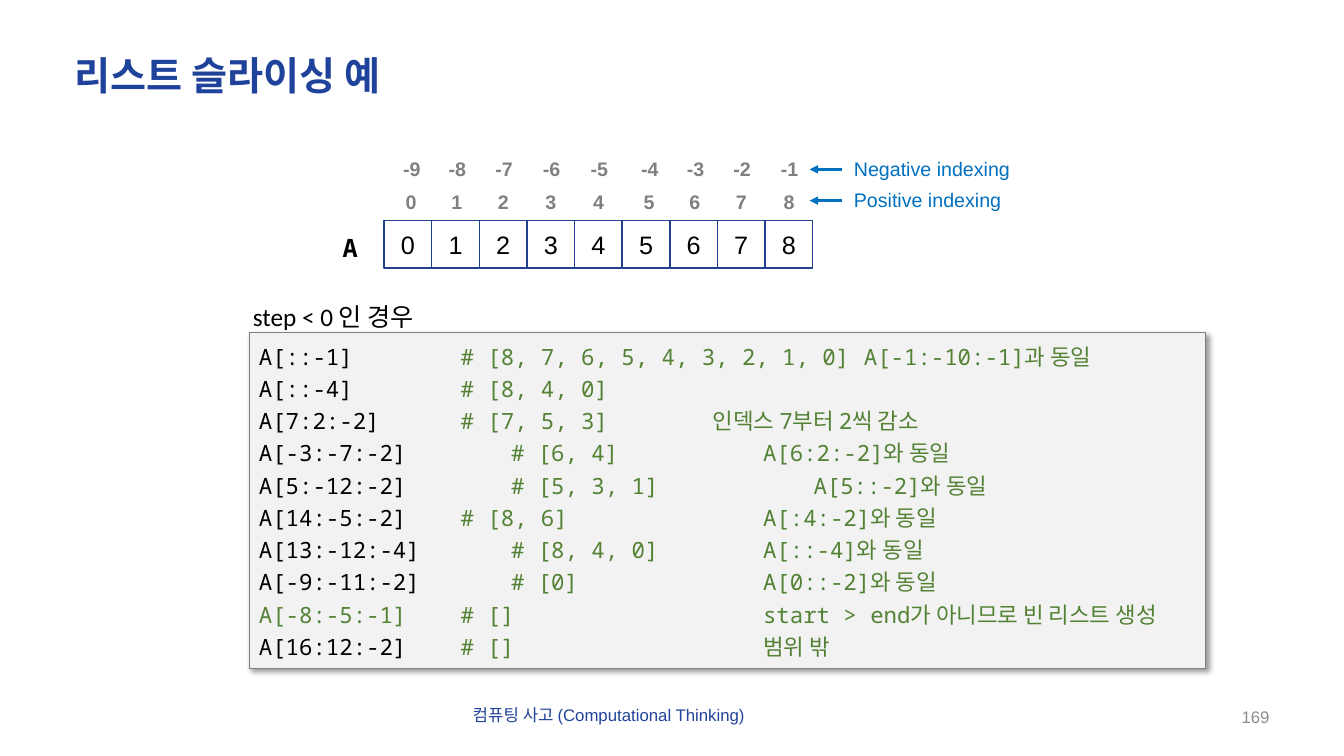
from lxml import etree
from pptx import Presentation
from pptx.dml.color import RGBColor
from pptx.enum.shapes import MSO_CONNECTOR, MSO_SHAPE
from pptx.enum.text import MSO_ANCHOR as Anchor, PP_ALIGN as Align
from pptx.oxml.ns import qn
from pptx.util import Inches, Pt

COLORS = {
    "title": "1F439B", "footer": "21439B", "number": "8C8C8C",
    "cell_line": "224090", "white": "FFFFFF", "black": "000000",
    "index": "808080", "arrow": "0070C0",
    "code_fill": "F2F2F2", "code_line": "808080", "comment": "548235",
}
SANS, MONO = "Arial", "Noto Sans Mono"

# code, comment column (inches), comment, note column (inches), note
EXAMPLES = [
    ("A[::-1]", 2, "# [8, 7, 6, 5, 4, 3, 2, 1, 0]", 6, "A[-1:-10:-1]과 동일"),
    ("A[::-4]", 2, "# [8, 4, 0]", None, ""),
    ("A[7:2:-2]", 2, "# [7, 5, 3]", 4.5, "인덱스 7부터 2씩 감소"),
    ("A[-3:-7:-2]", 2.5, "# [6, 4]", 5, "A[6:2:-2]와 동일"),
    ("A[5:-12:-2]", 2.5, "# [5, 3, 1]", 5.5, "A[5::-2]와 동일"),
    ("A[14:-5:-2]", 2, "# [8, 6]", 5, "A[:4:-2]와 동일"),
    ("A[13:-12:-4]", 2.5, "# [8, 4, 0]", 5, "A[::-4]와 동일"),
    ("A[-9:-11:-2]", 2.5, "# [0]", 5, "A[0::-2]와 동일"),
    ("A[-8:-5:-1]", 2, "# []", 5, "start > end가 아니므로 빈 리스트 생성"),
    ("A[16:12:-2]", 2, "# []", 5, "범위 밖"),
]
GREEN_CODE = "A[-8:-5:-1]"


def rgb(name):
    return RGBColor.from_string(COLORS[name])


def inches(box):
    return [Inches(length) for length in box]


def style(para, size, color, font=SANS, bold=False, align=Align.LEFT):
    para.alignment = align
    para.font.size, para.font.name, para.font.bold = Pt(size), font, bold
    para.font.color.rgb = rgb(color)


def add_label(page, box, text, size, color, wrap=False, anchor=Anchor.TOP, **look):
    frame = page.shapes.add_textbox(*inches(box)).text_frame
    frame.word_wrap, frame.vertical_anchor = wrap, anchor
    para = frame.paragraphs[0]
    para.text = text
    style(para, size, color, **look)
    return para


def add_rectangle(page, box, fill, line, width):
    shape = page.shapes.add_shape(MSO_SHAPE.RECTANGLE, *inches(box))
    shape.shadow.inherit = False
    shape.fill.solid()
    shape.fill.fore_color.rgb = rgb(fill)
    shape.line.color.rgb = rgb(line)
    shape.line.width = Pt(width)
    return shape


def add_title(page, box):
    title = page.shapes.title
    title.left, title.top, title.width, title.height = inches(box)
    frame = title.text_frame
    frame.text = "리스트 슬라이싱 예"
    frame.vertical_anchor = Anchor.MIDDLE
    para = frame.paragraphs[0]
    para.line_spacing = 0.9
    style(para, 28, "title", bold=True)


def add_list_cells(page, box, count):
    left, top, width, height = box
    pitch = width / count
    add_label(page, (left - 0.51, top + 0.07, 0.34, 0.4), "A", 18, "black",
              font=MONO, bold=True)
    for position in range(count):
        cell = add_rectangle(page, (left + position * pitch, top, pitch, height),
                             "white", "cell_line", 1)
        frame = cell.text_frame
        frame.vertical_anchor = Anchor.MIDDLE
        frame.text = str(position)
        style(frame.paragraphs[0], 18, "black", align=Align.CENTER)


def add_index_row(page, box, numbers):
    """Labels run in groups of five, each drawn slightly closer than the cells."""
    left, top, width, height = box
    nudges = (0, 0.02, 0.03, 0.03, 0.03)
    pitch = 4.25 / len(numbers)
    for position, number in enumerate(numbers):
        x = left + position * pitch - nudges[position % 5]
        para = add_label(page, (x, top, width, height), str(number), 14, "index",
                         bold=True, align=Align.RIGHT)
        para.line_spacing = Pt(18)


def add_index_caption(page, box, text):
    left, top, width, height = box
    add_label(page, box, text, 14, "arrow", wrap=True)
    middle = top + height / 2
    arrow = page.shapes.add_connector(
        MSO_CONNECTOR.STRAIGHT, *inches((left - 0.02, middle, left - 0.34, middle)))
    arrow.line.color.rgb = rgb("arrow")
    arrow.line.width = Pt(2)
    etree.SubElement(arrow.line._get_or_add_ln(), qn("a:tailEnd"), type="triangle")
    etree.SubElement(arrow._element.spPr, qn("a:effectLst"))


def add_drop_shadow(shape):
    effects = shape._element.spPr.find(qn("a:effectLst"))
    shadow = etree.SubElement(effects, qn("a:outerShdw"), blurRad=str(Pt(4)),
                              dist=str(Pt(3)), dir=str(45 * 60000), algn="tl",
                              rotWithShape="0")
    color = etree.SubElement(shadow, qn("a:srgbClr"), val=COLORS["black"])
    etree.SubElement(color, qn("a:alpha"), val="40000")


def add_tab_stops(para, columns):
    tabs = etree.SubElement(para._p.get_or_add_pPr(), qn("a:tabLst"))
    for column in columns:
        etree.SubElement(tabs, qn("a:tab"), pos=str(Inches(column)), algn="l")


def add_code_panel(page, box, examples):
    left, top, _, _ = box
    add_label(page, (left - 0.06, top - 0.36, 1.88, 0.4), "step < 0 인 경우",
              18, "black", font="Calibri")
    panel = add_rectangle(page, box, "code_fill", "code_line", 0.75)
    add_drop_shadow(panel)
    frame = panel.text_frame
    frame.word_wrap, frame.vertical_anchor = True, Anchor.TOP
    for row, (code, comment_at, comment, note_at, note) in enumerate(examples):
        para = frame.add_paragraph() if row else frame.paragraphs[0]
        para.line_spacing = 1.2
        add_tab_stops(para, [column for column in (comment_at, note_at) if column])
        style(para, 16, "comment", font=MONO)
        span = para.add_run()
        span.text = code + "\t"
        span.font.color.rgb = rgb("comment" if code == GREEN_CODE else "black")
        para.add_run().text = f"{comment}\t{note}" if note else comment


def add_footer(page):
    add_label(page, (4.59, 6.94, 3.27, 0.3), "컴퓨팅 사고 (Computational Thinking)",
              12, "footer")
    add_label(page, (9.69, 6.98, 3, 0.26), "169", 12, "number", wrap=True,
              anchor=Anchor.MIDDLE, align=Align.RIGHT)


def main():
    deck = Presentation()
    deck.slide_width, deck.slide_height = Inches(13.33), Inches(7.5)
    page = deck.slides.add_slide(deck.slide_layouts[5])
    add_title(page, (0.64, 0.51, 12.05, 0.53))
    add_code_panel(page, (2.47, 3.3, 9.49, 3.33), EXAMPLES)
    add_list_cells(page, (3.81, 2.19, 4.25, 0.47), 9)
    add_index_row(page, (3.91, 1.82, 0.32, 0.35), range(9))
    add_index_row(page, (3.87, 1.49, 0.4, 0.35), range(-9, 0))
    add_index_caption(page, (8.37, 1.82, 2.01, 0.34), "Positive indexing")
    add_index_caption(page, (8.37, 1.51, 2.01, 0.34), "Negative indexing")
    add_footer(page)
    deck.save("out.pptx")


if __name__ == "__main__":
    main()
